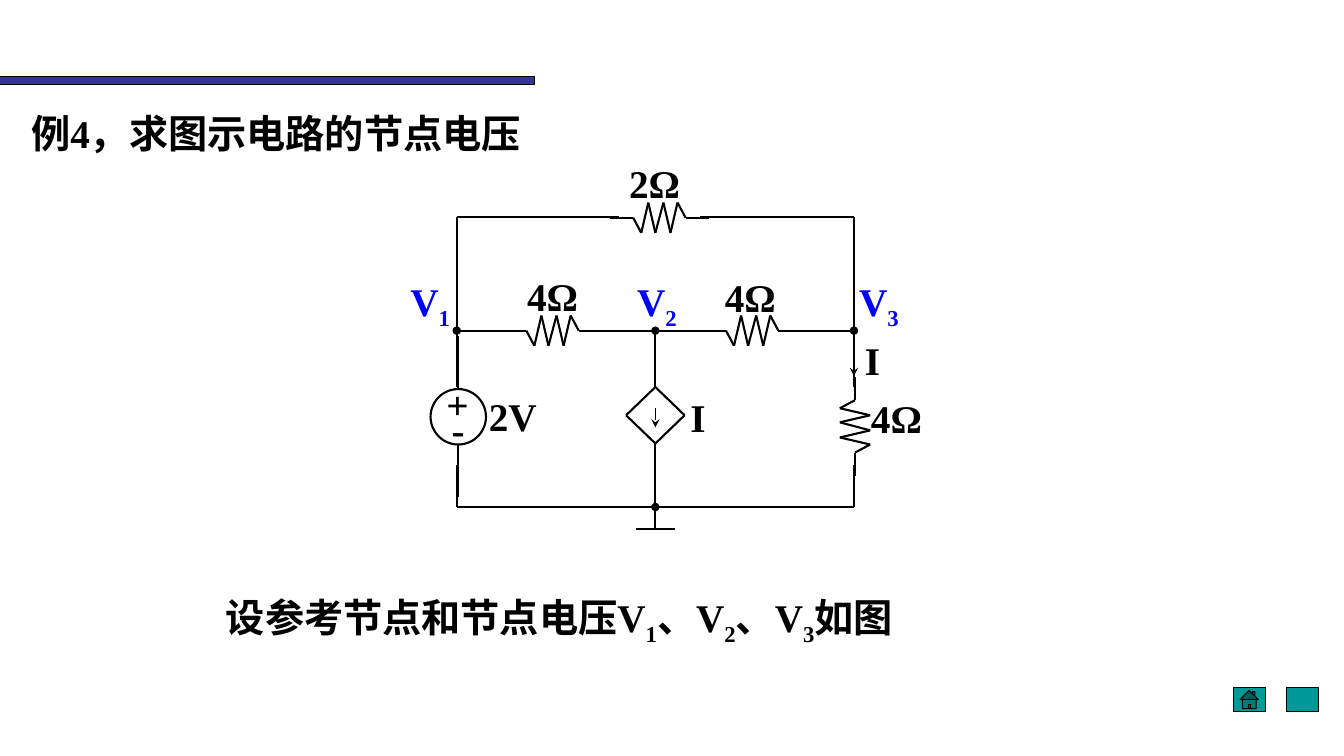
from itertools import pairwise

from pptx import Presentation
from pptx.dml.color import RGBColor
from pptx.enum import shapes, text
from pptx.oxml import ns
from pptx.util import Pt
from lxml import etree

PX = 9144
HEX = {"ink": "000000", "node": "0000FF", "bar": "333399", "nav": "009999"}
FONT = {"name": "Times New Roman", "size": Pt(28), "bold": True}
FLUSH = {"margin_left": 0, "margin_top": 0, "margin_right": 0, "margin_bottom": 0}
FRAME = {"word_wrap": True, "vertical_anchor": text.MSO_ANCHOR.TOP,
         "auto_size": text.MSO_AUTO_SIZE.SHAPE_TO_FIT_TEXT}
ZIGZAG = [(-49, 0), (-26, 0), (-18, 15), (-11, -15), (-4, 15), (4, -15),
          (11, 15), (18, -15), (26, 0), (49, 0)]


def emu(*sizes):
    """Turn px lengths into EMU."""
    return [size * PX for size in sizes]


def apply(item, values):
    """Set each named attribute on an item."""
    for name, value in values.items():
        setattr(item, name, value)


def write(box, words, tone="ink", **frame):
    """Fill a text shape; every second part between bars is a subscript."""
    body = box.text_frame
    apply(body, {**FRAME, **frame})
    para = body.paragraphs[0]
    para.alignment = text.PP_ALIGN.LEFT
    for i, part in enumerate(words.split("|")):
        run = para.add_run()
        run.text = part
        apply(run.font, FONT)
        run.font.color.rgb = RGBColor.from_string(HEX[tone])
        if i % 2:
            run._r.get_or_add_rPr().set("baseline", "-25000")


def label(board, place, words, tone="ink", **frame):
    """Add a text box."""
    write(board.add_textbox(*emu(*place)), words, tone, **frame)


def shape(board, kind, place, fill=None, width=0.75):
    """Add an outlined preset shape."""
    item = board.add_shape(kind, *emu(*place))
    item.shadow.inherit = False
    if fill:
        item.fill.solid()
        item.fill.fore_color.rgb = RGBColor.from_string(HEX[fill])
    else:
        item.fill.background()
    item.line.color.rgb = RGBColor.from_string(HEX["ink"])
    item.line.width = Pt(width)


def wire(board, *points, width=1.5, **ends):
    """Join points with straight lines; ends maps headEnd or tailEnd to a type."""
    for start, stop in pairwise(points):
        line = board.add_connector(shapes.MSO_CONNECTOR.STRAIGHT, *emu(*start, *stop))
        line.line.color.rgb = RGBColor.from_string(HEX["ink"])
        line.line.width = Pt(width)
        for end, kind in ends.items():
            etree.SubElement(line.line._get_or_add_ln(), ns.qn("a:" + end), type=kind)
        etree.SubElement(line._element.spPr, ns.qn("a:effectLst"))


def resist(board, x, y, upright=False):
    """Draw a resistor centred on a point."""
    wire(board, *[(x - off, y + run) if upright else (x + run, y + off)
                  for run, off in ZIGZAG])


def source(board, x, y):
    """Draw the voltage source around its centre."""
    label(board, (x - 16, y - 16, 52, 57), "-")
    label(board, (x - 21, y - 41, 59, 57), "+")
    shape(board, shapes.MSO_SHAPE.OVAL, (x - 27, y - 27, 55, 55), width=1.5)
    for sign in (-1, 1):
        wire(board, (x, y + sign * 27), (x, y + sign * 80))
    label(board, (x + 21, y - 29, 88, 57), "2V")


def branch(board, x, node, base):
    """Draw the middle branch with its controlled current source and ground."""
    mid, high, low = node + 84, node + 56, node + 112
    wire(board, (x, high), (x + 29, mid), (x, low), (x - 29, mid), (x, high))
    wire(board, (x, node), (x, high), headEnd="oval")
    wire(board, (x, low), (x, base), tailEnd="oval")
    wire(board, (x, mid - 7), (x, mid + 12), width=1, tailEnd="stealth")
    wire(board, (x, base), (x, base + 22))
    wire(board, (x - 19, base + 22), (x + 19, base + 22))
    label(board, (x + 25, mid - 27, 51, 57), "I")


def circuit(page, left, top):
    """Draw the circuit from its top left corner."""
    board = page.shapes.add_group_shape().shapes
    west, mid, east = (left + 46 + 197 * i for i in range(3))
    roof, node, base = top + 62, top + 175, top + 350
    wire(board, (mid - 36, roof), (west, roof), (west, node + 56))
    wire(board, (mid + 44, roof), (east, roof), (east, node + 56))
    wire(board, (west, node + 133), (west, base), (east, base), (east, node + 133))
    wire(board, (mid - 58, node), (mid + 59, node))
    wire(board, (west + 59, node), (west, node), tailEnd="oval")
    wire(board, (east, node), (east - 58, node), headEnd="oval")
    wire(board, (east, node + 17), (east, node + 45), width=1, tailEnd="stealth")
    label(board, (east + 1, node + 1, 51, 57), "I")
    branch(board, mid, node, base)
    source(board, west + 1, node + 85)
    resist(board, mid + 4, roof + 1)
    resist(board, mid - 102, node)
    resist(board, mid + 96, node)
    resist(board, east + 1, node + 95, True)
    for x, y, wide, ohms in [(mid - 36, top, 81, 2), (mid - 137, top + 112, 71, 4),
                             (mid + 59, top + 113, 71, 4), (east + 7, node + 58, 71, 4)]:
        label(board, (x, y, wide, 57), f"{ohms}Ω", word_wrap=False)
    for i, x in enumerate((left, mid - 18, east + 5), 1):
        label(board, (x, node - 53, 66, 47), f"V|{i}", "node", **FLUSH)


def head(page, left, top):
    """Place the bar and the title below it."""
    shape(page.shapes, shapes.MSO_SHAPE.RECTANGLE, (left, top, 530, 8), "bar")
    title = page.shapes.title
    place = emu(left + 31, top + 32, 669, 47)
    apply(title, dict(zip(("left", "top", "width", "height"), place)))
    write(title, "例4，求图示电路的节点电压", **FLUSH)


def nav(page, left, top):
    """Place the two buttons."""
    kinds = (shapes.MSO_SHAPE.ACTION_BUTTON_HOME, shapes.MSO_SHAPE.ACTION_BUTTON_CUSTOM)
    for i, kind in enumerate(kinds):
        shape(page.shapes, kind, (left + 53 * i, top, 32, 24), "nav")


def main():
    """Build and save the slide."""
    deck = Presentation()
    deck.slide_width, deck.slide_height = emu(1333, 750)
    page = deck.slides.add_slide(deck.slide_layouts[5])
    head(page, 0, 76)
    nav(page, 1223, 682)
    circuit(page, 407, 153)
    label(page.shapes, (224, 589, 835, 47),
          "设参考节点和节点电压V|1|、V|2|、V|3|如图", **FLUSH)
    deck.save("out.pptx")


if __name__ == "__main__":
    main()
